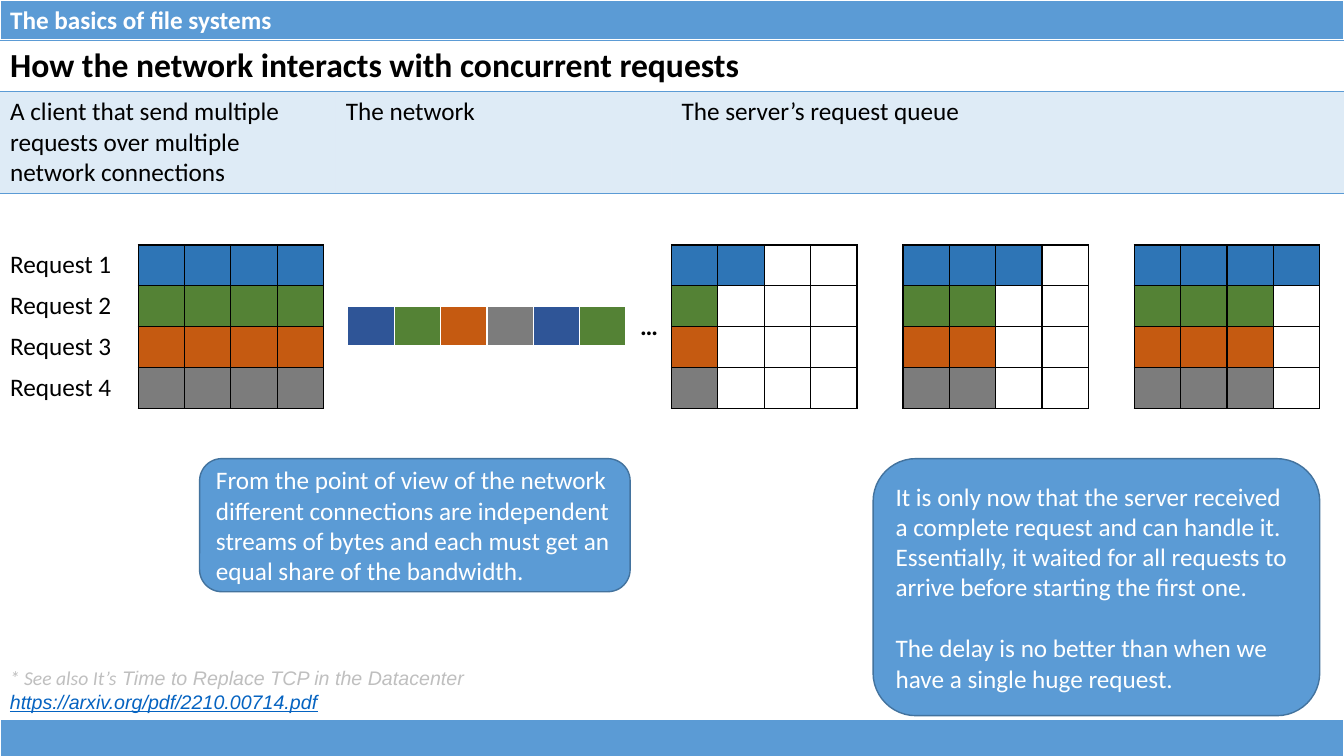
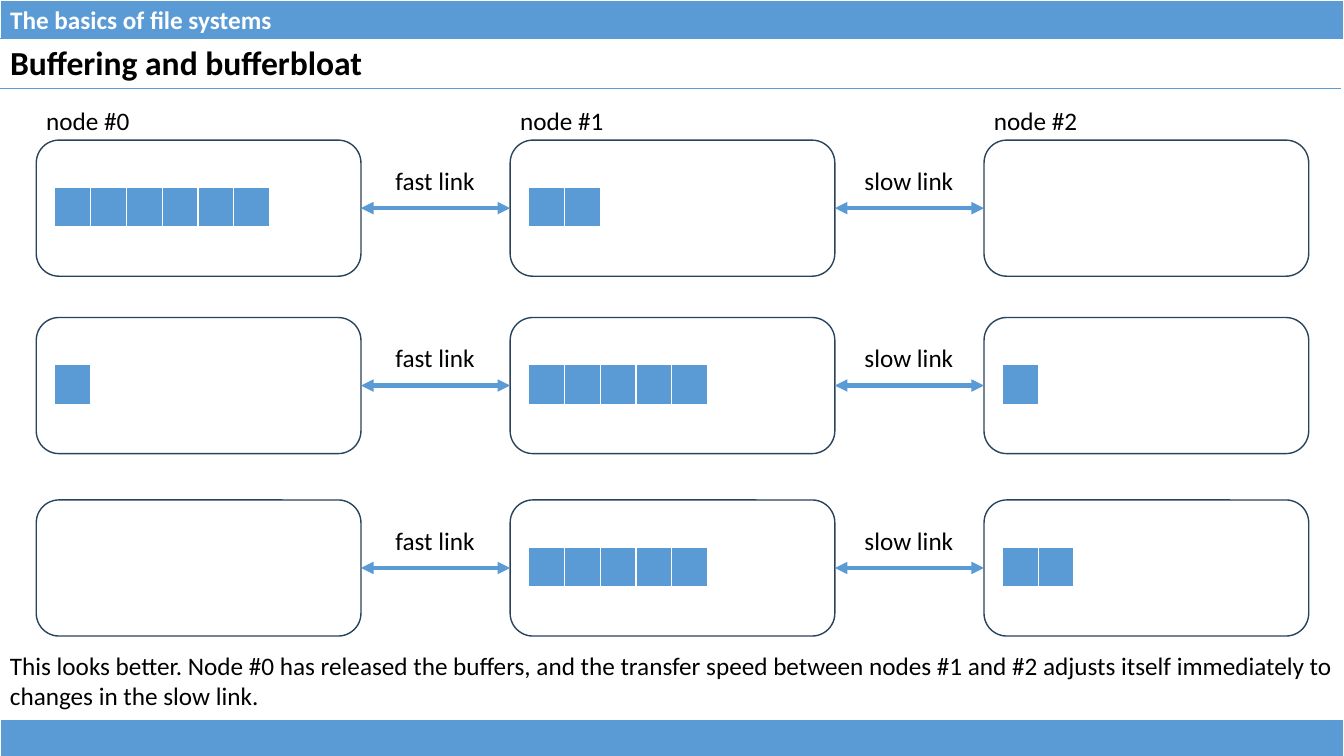
from dataclasses import dataclass
from lxml.etree import SubElement
from pptx import Presentation
from pptx.dml.color import RGBColor
from pptx.enum.shapes import MSO_CONNECTOR, MSO_SHAPE
from pptx.enum.text import MSO_ANCHOR, PP_ALIGN
from pptx.oxml import parse_xml
from pptx.oxml.ns import nsdecls, qn
from pptx.util import Inches, Pt

COLORS = {
    "accent": "5B9BD5", "edge": "43739E", "node": "28445D",
    "black": "000000", "white": "FFFFFF", "muted": "BFBFBF", "link": "0563C1",
    "blue": "2E75B6", "navy": "2F5597", "green": "548235",
    "orange": "C55A11", "gray": "7C7C7C",
}
FONT = "Calibri"
WIDTH, HEIGHT = 13.33, 7.5

# Cell borders: side letters, colour, points
WHITE_FRAME = (("LRT", "white", 1), ("B", "white", 3))
BLACK_FRAME = (("LRTB", "black", 1),)
RULES = (("TB", "accent", 1),)

# Content shared by the slides
SECTION = "The basics of file systems"

# Content of the concurrent requests slide
REQUEST_TITLE = "How the network interacts with concurrent requests"
STAGES = [
    ("A client that send multiple requests over multiple network connections", 3.33),
    ("The network", 3.33),
    ("The server’s request queue", 6.67),
]
REQUESTS = [("Request 1", "blue"), ("Request 2", "green"),
            ("Request 3", "orange"), ("Request 4", "gray")]
PARTS = 4
QUEUE_STATES = [(2, 1, 1, 1), (3, 2, 2, 2), (4, 3, 3, 3)]
STREAM = ["navy", "green", "orange", "gray", "navy", "green"]
CALLOUTS = [
    ((1.98, 4.55, 4.27, 1.32),
     ["From the point of view of the network different connections are independent "
      "streams of bytes and each must get an equal share of the bandwidth."]),
    ((8.66, 4.55, 4.43, 2.55),
     ["It is only now that the server received a complete request and can handle it. "
      "Essentially, it waited for all requests to arrive before starting the first one.",
      "The delay is no better than when we have a single huge request."]),
]
REFERENCE = [
    [("* See also It’s", {"font": FONT}),
     (" Time to Replace TCP in the Datacenter", {"font": "Arial"})],
    [("https://arxiv.org/pdf/2210.00714.pdf",
      {"font": "Arial", "color": "link", "underline": True})],
]

# Content of the bufferbloat slide
BUFFER_TITLE = "Buffering and bufferbloat"
NODES = ["node #0", "node #1", "node #2"]
LINKS = ["fast link", "slow link"]
SLOTS = 8
BUFFER_STATES = [(1.39, (6, 2, 0)), (3.15, (1, 5, 1)), (4.96, (0, 5, 2))]
CONCLUSION = ("This looks better. Node #0 has released the buffers, and the transfer "
              "speed between nodes #1 and #2 adjusts itself immediately to changes "
              "in the slow link.")


@dataclass
class Cell:
    text: str = ""
    fill: str = ""
    opacity: int = 100
    size: int = 18
    color: str = "black"
    bold: bool = False
    align: PP_ALIGN = PP_ALIGN.LEFT
    borders: tuple = ()


def rgb(name):
    return RGBColor.from_string(COLORS[name])


def add_run(para, text, size=18, color="black", font=FONT, bold=False,
            italic=False, underline=False):
    span = para.add_run()
    span.text = text
    span.font.name, span.font.size = font, Pt(size)
    span.font.color.rgb = rgb(color)
    span.font.bold, span.font.italic, span.font.underline = bold, italic, underline


def set_fill(cell, spec):
    if not spec.fill:
        cell.fill.background()
        return
    cell.fill.solid()
    cell.fill.fore_color.rgb = rgb(spec.fill)
    if spec.opacity < 100:
        color = cell._tc.tcPr.find(".//" + qn("a:srgbClr"))
        SubElement(color, qn("a:alpha"), val=str(spec.opacity * 1000))


def set_borders(cell, borders):
    styles = {side: (color, points) for sides, color, points in borders for side in sides}
    properties = cell._tc.get_or_add_tcPr()
    for index, side in enumerate("LRTB"):
        color, points = styles.get(side, ("", 1))
        paint = (f'<a:solidFill><a:srgbClr val="{COLORS[color]}"/></a:solidFill>'
                 if color else "<a:noFill/>")
        properties.insert(index, parse_xml(
            f'<a:ln{side} {nsdecls("a")} w="{Pt(points)}">{paint}</a:ln{side}>'))


def add_grid(page, left, top, widths, heights, rows, margin=0.05):
    frame = page.shapes.add_table(len(rows), len(widths), Inches(left), Inches(top),
                                  Inches(sum(widths)), Inches(sum(heights)))
    table = frame.table
    table.first_row = table.horz_banding = False
    for column, width in zip(table.columns, widths):
        column.width = Inches(width)
    for row, height, specs in zip(table.rows, heights, rows):
        row.height = Inches(height)
        for cell, spec in zip(row.cells, specs):
            cell.margin_top = cell.margin_bottom = Inches(margin)
            set_fill(cell, spec)
            set_borders(cell, spec.borders)
            if spec.text:
                para = cell.text_frame.paragraphs[0]
                para.alignment = spec.align
                add_run(para, spec.text, spec.size, spec.color, bold=spec.bold)
    return table


def add_text(page, left, top, width, height, text, align=PP_ALIGN.LEFT):
    box = page.shapes.add_textbox(Inches(left), Inches(top), Inches(width), Inches(height))
    box.text_frame.word_wrap = True
    para = box.text_frame.paragraphs[0]
    para.alignment = align
    if text:
        add_run(para, text)
    return box


def add_rounded(page, left, top, width, height, line, fill=None):
    shape = page.shapes.add_shape(MSO_SHAPE.ROUNDED_RECTANGLE, Inches(left), Inches(top),
                                  Inches(width), Inches(height))
    shape.shadow.inherit = False
    if fill:
        shape.fill.solid()
        shape.fill.fore_color.rgb = rgb(fill)
    else:
        shape.fill.background()
    shape.line.color.rgb, shape.line.width = rgb(line), Pt(1)
    return shape


def add_callout(page, place, paragraphs):
    frame = add_rounded(page, *place, "edge", "accent").text_frame
    frame.word_wrap = True
    frame.vertical_anchor = MSO_ANCHOR.MIDDLE
    for index, text in enumerate(paragraphs):
        para = frame.add_paragraph() if index else frame.paragraphs[0]
        para.alignment = PP_ALIGN.LEFT
        if index:
            para.space_before = Pt(22)
        add_run(para, text, color="white")


def add_link(page, start, end):
    link = page.shapes.add_connector(MSO_CONNECTOR.STRAIGHT, 0, 0, 0, 0)
    link.begin_connect(start, 3)
    link.end_connect(end, 1)
    link.line.color.rgb, link.line.width = rgb("accent"), Pt(3)
    line = link.line._get_or_add_ln()
    for tag in ("a:headEnd", "a:tailEnd"):
        SubElement(line, qn(tag), type="triangle")
    SubElement(link._element.spPr, qn("a:effectLst"))


def title_cell(text):
    return Cell(text, size=24, bold=True, borders=RULES)


def add_page(deck):
    page = deck.slides.add_slide(deck.slide_layouts[6])
    for top, height, text in ((0, 0.4, SECTION), (7.14, 0.38, "")):
        band = Cell(text, "accent", color="white", bold=True, borders=WHITE_FRAME)
        add_grid(page, 0, top, [WIDTH], [height], [[band]], 0.05 if text else 0)
    return page


def build_requests(deck):
    page = add_page(deck)
    side, row_height, grid_top = 0.46, 0.405, 2.43
    heights = [row_height] * len(REQUESTS)

    # Title and stage headings
    headings = [Cell(text, "accent", 20, borders=RULES) for text, _ in STAGES]
    table = add_grid(page, 0, 0.4, [width for _, width in STAGES], [0.5, 1],
                     [[title_cell(REQUEST_TITLE)] + [title_cell("")] * 2, headings])
    table.cell(0, 0).merge(table.cell(0, len(STAGES) - 1))

    def request_cells(color, filled):
        return [Cell(fill=color if part < filled else "white", borders=BLACK_FRAME)
                for part in range(PARTS)]

    # Requests at the client
    rows = [[Cell(label, borders=(("R", "black", 1),))] + request_cells(color, PARTS)
            for label, color in REQUESTS]
    add_grid(page, 0, grid_top, [1.37] + [side] * PARTS, heights, rows)

    # Bytes in the network
    stream = [Cell(fill=color, borders=WHITE_FRAME) for color in STREAM]
    stream.append(Cell("…", "white", bold=True, align=PP_ALIGN.CENTER,
                       borders=WHITE_FRAME))
    add_grid(page, 3.45, 3.04, [side] * len(stream), [row_height], [stream])

    # Successive states of the server queue
    for index, counts in enumerate(QUEUE_STATES):
        rows = [request_cells(color, count) for (_, color), count in zip(REQUESTS, counts)]
        add_grid(page, 6.66 + index * 2.295, grid_top, [side] * PARTS, heights, rows)

    for place, paragraphs in CALLOUTS:
        add_callout(page, place, paragraphs)

    # Reference
    frame = add_text(page, 0, 6.56, 4.73, 0.57, "").text_frame
    for index, runs in enumerate(REFERENCE):
        para = frame.add_paragraph() if index else frame.paragraphs[0]
        for text, style in runs:
            add_run(para, text, **{"size": 14, "color": "muted", "italic": True, **style})


def build_buffers(deck):
    page = add_page(deck)
    add_grid(page, 0, 0.38, [13.3], [0.5], [[title_cell(BUFFER_TITLE)]])
    node_left, node_step, node_width, node_height = 0.36, 4.7, 3.22, 1.35
    slot_width = 2.85 / SLOTS
    lefts = [node_left + index * node_step for index in range(len(NODES))]

    for left, name in zip(lefts, NODES):
        add_text(page, left, 1, 1.39, 0.4, name)

    for top, counts in BUFFER_STATES:
        # Nodes with their buffer slots
        nodes = []
        for left, count in zip(lefts, counts):
            nodes.append(add_rounded(page, left, top, node_width, node_height, "node"))
            buffers = [Cell(fill="accent" if slot < count else "", borders=WHITE_FRAME)
                       for slot in range(SLOTS)]
            add_grid(page, left + 0.18, top + 0.47, [slot_width] * SLOTS, [0.405],
                     [buffers])
        # Links between neighbours
        for index, name in enumerate(LINKS):
            add_link(page, nodes[index], nodes[index + 1])
            add_text(page, lefts[index] + node_width + 0.12, top + 0.2,
                     1.23, 0.4, name, PP_ALIGN.CENTER)

    add_text(page, 0, 6.4, WIDTH, 0.71, CONCLUSION)


def main():
    deck = Presentation()
    deck.slide_width, deck.slide_height = Inches(WIDTH), Inches(HEIGHT)
    build_requests(deck)
    build_buffers(deck)
    deck.save("out.pptx")


if __name__ == "__main__":
    main()
